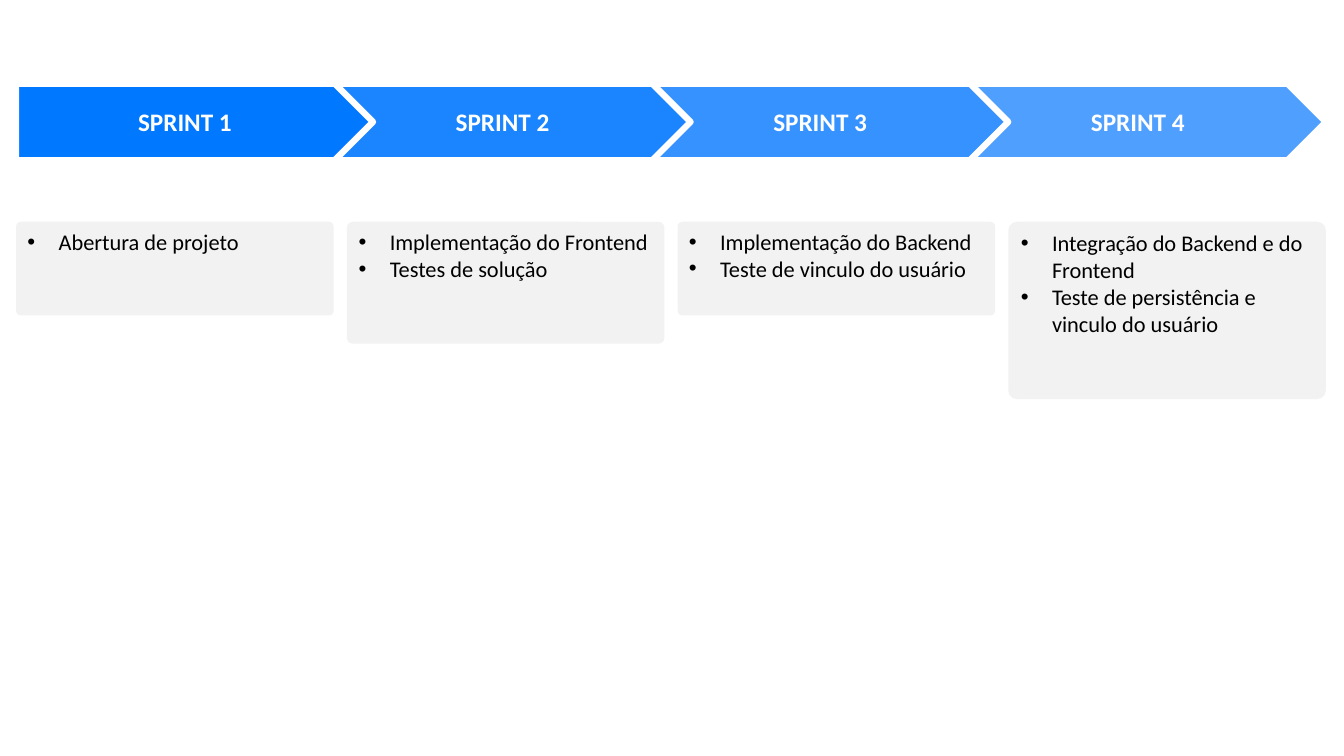
from lxml import etree
from pptx import Presentation
from pptx.dml.color import RGBColor
from pptx.enum.shapes import MSO_SHAPE
from pptx.enum.text import MSO_ANCHOR, PP_ALIGN
from pptx.oxml.ns import qn
from pptx.util import Pt

PENTAGON, ROUNDED = MSO_SHAPE.PENTAGON, MSO_SHAPE.ROUNDED_RECTANGLE
TOP, MIDDLE = MSO_ANCHOR.TOP, MSO_ANCHOR.MIDDLE
LEFT, CENTER = PP_ALIGN.LEFT, PP_ALIGN.CENTER

PX = 9144  # 100 px to the inch
FONT = "Calibri"
WHITE, BLACK, CARD_GRAY = "FFFFFF", "000000", "F2F2F2"

MARGIN = 16
ARROW_TOP, ARROW_W, ARROW_H, ARROW_STEP = 83, 354, 76, 315
CARD_TOP, CARD_W, CARD_STEP = 220, 315, 328
INDENT = 31

# Arrow label, arrow colour, card height, tasks
SPRINTS = [
    ("SPRINT 1", "0078FF", 93, ["Abertura de projeto"]),
    ("SPRINT 2", "1A85FF", 121,
     ["Implementação do Frontend", "Testes de solução"]),
    ("SPRINT 3", "3592FF", 93,
     ["Implementação do Backend", "Teste de vinculo do usuário"]),
    ("SPRINT 4", "4F9FFF", 176,
     ["Integração do Backend e do Frontend",
      "Teste de persistência e vinculo do usuário"]),
]


def px(n):
    return round(n * PX)


def color(value):
    return RGBColor.from_string(value)


def add_box(s, kind, x, y, w, h, fill, anchor):
    sp = s.shapes.add_shape(kind, px(x), px(y), px(w), px(h))
    sp.shadow.inherit = False
    sp.fill.solid()
    sp.fill.fore_color.rgb = color(fill)
    sp.line.fill.background()
    sp.text_frame.word_wrap = True
    sp.text_frame.vertical_anchor = anchor
    return sp


def add_run(p, text, size, hex_color, bold=False):
    r = p.add_run()
    r.text = text
    r.font.name = FONT
    r.font.size = Pt(size)
    r.font.bold = bold
    r.font.color.rgb = color(hex_color)


def set_bullet(p):
    pPr = p._p.get_or_add_pPr()
    pPr.set("marL", str(px(INDENT)))
    pPr.set("indent", str(-px(INDENT)))
    bu_color = etree.SubElement(pPr, qn("a:buClr"))
    etree.SubElement(bu_color, qn("a:srgbClr"), val=BLACK)
    etree.SubElement(pPr, qn("a:buFont"), typeface="Arial")
    etree.SubElement(pPr, qn("a:buChar"), char="•")


def add_arrow(s, i, label, fill):
    sp = add_box(s, PENTAGON, MARGIN + i * ARROW_STEP, ARROW_TOP,
                 ARROW_W, ARROW_H, fill, MIDDLE)
    sp.line.color.rgb = color(WHITE)
    sp.line.width = Pt(4.5)
    p = sp.text_frame.paragraphs[0]
    p.alignment = CENTER
    add_run(p, label, 18, WHITE, bold=True)


def add_card(s, i, height, tasks):
    sp = add_box(s, ROUNDED, MARGIN + i * CARD_STEP, CARD_TOP,
                 CARD_W, height, CARD_GRAY, TOP)
    sp.adjustments[0] = 0.05
    tf = sp.text_frame
    for n, task in enumerate(tasks):
        p = tf.add_paragraph() if n else tf.paragraphs[0]
        p.alignment = LEFT
        set_bullet(p)
        add_run(p, task, 16, BLACK)


def main():
    prs = Presentation()
    prs.slide_width, prs.slide_height = px(1333), px(750)
    s = prs.slides.add_slide(prs.slide_layouts[6])

    # Arrows, last first, so that each one overlaps the next
    for i, (label, fill, _, _) in reversed(list(enumerate(SPRINTS))):
        add_arrow(s, i, label, fill)

    # Task cards
    for i, (_, _, height, tasks) in enumerate(SPRINTS):
        add_card(s, i, height, tasks)

    prs.save("out.pptx")


if __name__ == "__main__":
    main()
